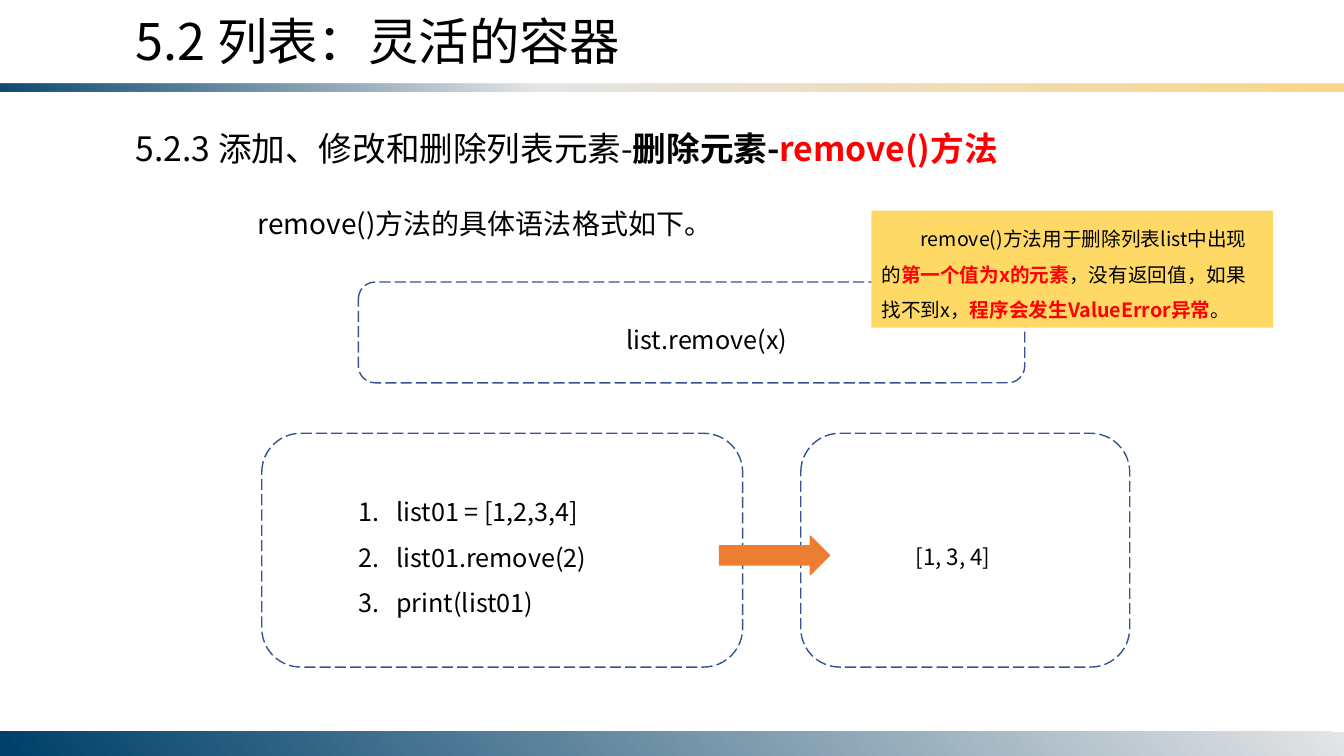
from lxml.etree import SubElement
from pptx import Presentation
from pptx.dml.color import RGBColor
from pptx.enum.dml import MSO_LINE
from pptx.enum.shapes import MSO_SHAPE
from pptx.enum.text import MSO_ANCHOR, MSO_AUTO_SIZE, PP_ALIGN
from pptx.oxml.ns import qn
from pptx.util import Pt

FONT = "Noto Sans CJK SC"
BLACK = RGBColor(0x00, 0x00, 0x00)
RED = RGBColor(0xFF, 0x00, 0x00)
NAVY = RGBColor(0x00, 0x41, 0x6A)
SILVER = RGBColor(0xE4, 0xE5, 0xE6)
GOLD = RGBColor(0xFB, 0xD7, 0x86)
YELLOW = RGBColor(0xFF, 0xD9, 0x66)
ORANGE = RGBColor(0xED, 0x7D, 0x31)
OUTLINE = RGBColor(0x32, 0x54, 0x91)
WIDTH, HEIGHT = 960, 540


def add_plain_shape(slide, kind, box):
    """Add a preset shape without shadow, fill or line."""
    shape = slide.shapes.add_shape(kind, *map(Pt, box))
    shape.shadow.inherit = False
    shape.fill.background()
    shape.line.fill.background()
    return shape


def add_gradient_band(slide, box, stops, angle):
    """Add a rectangle with a gradient of (percent, colour, opacity) stops."""
    band = add_plain_shape(slide, MSO_SHAPE.RECTANGLE, box)
    band.fill.gradient()
    band.fill.gradient_angle = angle
    stop_list = band._element.spPr.find(".//" + qn("a:gsLst"))
    for stop in list(stop_list):
        stop_list.remove(stop)
    for percent, color, opacity in stops:
        stop = SubElement(stop_list, qn("a:gs"), pos=str(percent * 1000))
        fill = SubElement(stop, qn("a:srgbClr"), val=str(color))
        if opacity < 100:
            SubElement(fill, qn("a:alpha"), val=str(opacity * 1000))


def add_dashed_frame(slide, box):
    """Add an unfilled rounded frame with a long-dashed outline."""
    frame = add_plain_shape(slide, MSO_SHAPE.ROUNDED_RECTANGLE, box)
    frame.line.color.rgb = OUTLINE
    frame.line.width = Pt(1)
    frame.line.dash_style = MSO_LINE.LONG_DASH


def write_paragraphs(shape, paragraphs, size, spacing=1.0, indent=0, numbered=False):
    """Fill a shape with paragraphs made of (text, colour, bold) runs."""
    frame = shape.text_frame
    frame.word_wrap = True
    frame.auto_size = MSO_AUTO_SIZE.SHAPE_TO_FIT_TEXT
    for index, runs in enumerate(paragraphs):
        paragraph = frame.add_paragraph() if index else frame.paragraphs[0]
        paragraph.alignment = PP_ALIGN.LEFT
        paragraph.line_spacing = spacing
        properties = paragraph._p.get_or_add_pPr()
        properties.set("marL", str(Pt(max(0, -indent))))
        properties.set("indent", str(Pt(indent)))
        if numbered:
            SubElement(properties, qn("a:buFont"), typeface="+mj-lt")
            SubElement(properties, qn("a:buAutoNum"), type="arabicPeriod")
        paragraph.font.size = Pt(size)
        paragraph.font.name = FONT
        SubElement(properties.find(qn("a:defRPr")), qn("a:ea"), typeface=FONT)
        for text, color, bold in runs:
            run = paragraph.add_run()
            run.text = text
            run.font.color.rgb = color
            run.font.bold = bold
            SubElement(run._r.get_or_add_rPr(), qn("a:ea"), typeface=FONT)


def add_text(slide, box, paragraphs, size, **layout):
    """Add a text box holding the given paragraphs."""
    text_box = slide.shapes.add_textbox(*map(Pt, box))
    write_paragraphs(text_box, paragraphs, size, **layout)


def add_bands(slide):
    """Add the band under the title and the one along the bottom edge."""
    add_gradient_band(slide, (0, 59.5, WIDTH, 6),
                      [(0, NAVY, 95), (40, SILVER, 100), (100, GOLD, 100)], 50)
    add_gradient_band(slide, (0, HEIGHT - 17.5, WIDTH, 17.5),
                      [(0, SILVER, 100), (99, NAVY, 100)], 220)


def add_headings(slide, left, top):
    """Add the chapter title, section heading and lead-in sentence."""
    add_text(slide, (left, top, 441, 51), [[("5.2 列表：灵活的容器", BLACK, False)]], 36)
    add_text(slide, (left, top + 84, 631.5, 36),
             [[("5.2.3 添加、修改和删除列表元素-", BLACK, False),
               ("删除元素-", BLACK, True), ("remove()方法", RED, True)]], 24)
    add_text(slide, (left + 47, top + 128, 500, 43),
             [[("remove()方法的具体语法格式如下。", BLACK, False)]],
             20, spacing=1.5, indent=40)


def add_syntax(slide, left, top, width, height):
    """Add the framed syntax line."""
    add_text(slide, (left + 184.5, top + 15.5, 131, 40),
             [[("list.remove(x)", BLACK, False)]], 18, spacing=1.5)
    add_dashed_frame(slide, (left, top, width, height))


def add_callout(slide, box):
    """Add the yellow note explaining the method."""
    note = add_plain_shape(slide, MSO_SHAPE.RECTANGLE, box)
    note.fill.solid()
    note.fill.fore_color.rgb = YELLOW
    note.text_frame.vertical_anchor = MSO_ANCHOR.TOP
    write_paragraphs(note, [[
        ("remove()方法用于删除列表list中出现的", BLACK, False),
        ("第一个值为x的元素", RED, True),
        ("，没有返回值，如果找不到x，", BLACK, False),
        ("程序会发生ValueError异常", RED, True),
        ("。", BLACK, False)]], 14, spacing=1.5, indent=28)


def add_example(slide, left, top, height):
    """Add the code frame, the output frame and the arrow between them."""
    code = ["list01 = [1,2,3,4]", "list01.remove(2)", "print(list01)"]
    code_width, output_left, output_width = 343.5, left + 385, 235
    add_text(slide, (left + 62, top + 31, 223, 105),
             [[(line, BLACK, False)] for line in code],
             18, spacing=1.5, indent=-27, numbered=True)
    add_dashed_frame(slide, (left, top, code_width, height))
    add_text(slide, (output_left + 75, top + 65.5, 90, 36),
             [[("[1, 3, 4]", BLACK, False)]], 16, spacing=1.5)
    add_dashed_frame(slide, (output_left, top, output_width, height))
    arrow = add_plain_shape(slide, MSO_SHAPE.RIGHT_ARROW,
                            (left + 327, top + 73.5, 78.5, 27.5))
    arrow.fill.solid()
    arrow.fill.fore_color.rgb = ORANGE
    arrow.line.color.rgb = ORANGE
    arrow.line.width = Pt(1)


def main():
    """Build the slide and save the presentation."""
    presentation = Presentation()
    presentation.slide_width, presentation.slide_height = Pt(WIDTH), Pt(HEIGHT)
    slide = presentation.slides.add_slide(presentation.slide_layouts[6])
    add_bands(slide)
    add_headings(slide, 90, 3.75)
    add_syntax(slide, 256, 201.5, 476, 72)
    add_callout(slide, (622.5, 150.5, 287, 83.5))
    add_example(slide, 187, 309.5, 167)
    presentation.save("out.pptx")


if __name__ == "__main__":
    main()
